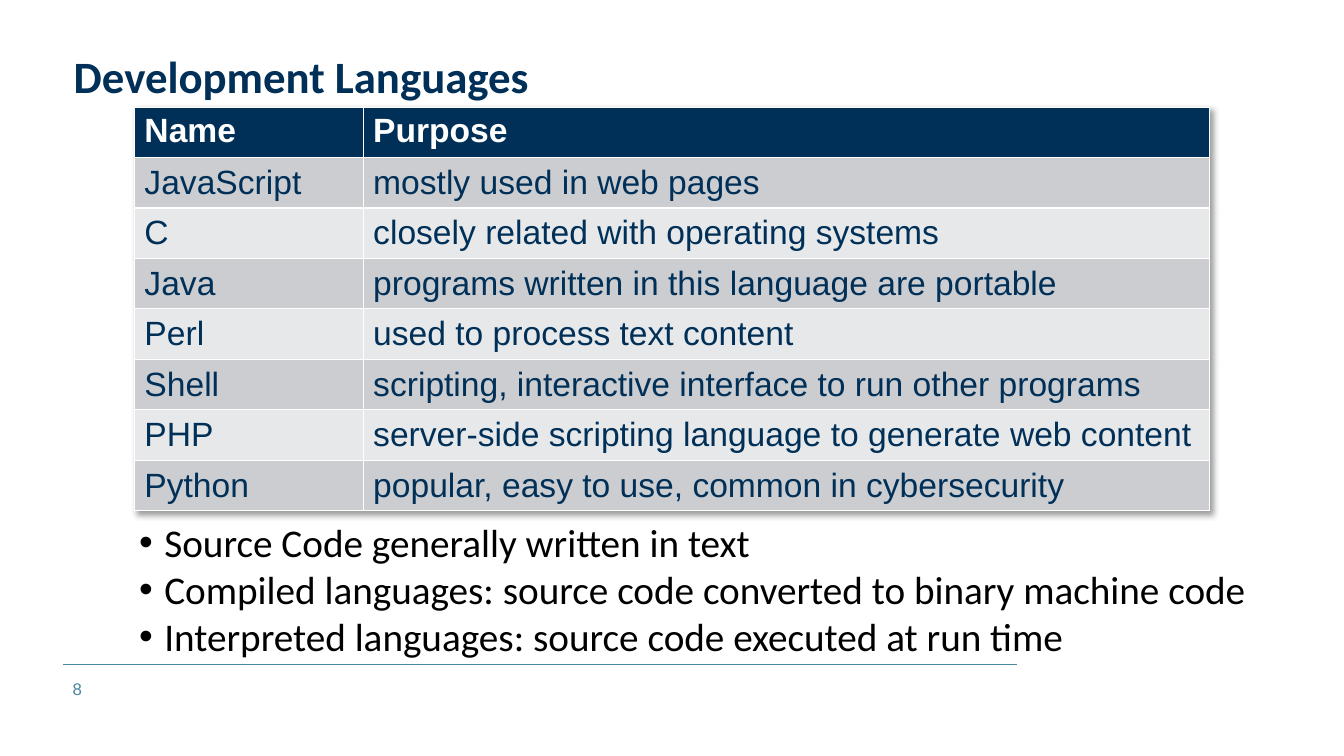
from lxml import etree
from pptx import Presentation
from pptx.dml.color import RGBColor
from pptx.enum.shapes import MSO_CONNECTOR
from pptx.enum.text import MSO_ANCHOR, MSO_AUTO_SIZE, PP_ALIGN
from pptx.oxml.ns import qn
from pptx.util import Pt

LINE = MSO_CONNECTOR.STRAIGHT
MID, LOW, TOP = MSO_ANCHOR.MIDDLE, MSO_ANCHOR.BOTTOM, MSO_ANCHOR.TOP
LEFT = PP_ALIGN.LEFT
FIXED = MSO_AUTO_SIZE.NONE

# Content
TITLE = "Development Languages"
ROWS = [
    ("Name", "Purpose"),
    ("JavaScript", "mostly used in web pages"),
    ("C", "closely related with operating systems"),
    ("Java", "programs written in this language are portable"),
    ("Perl", "used to process text content"),
    ("Shell", "scripting, interactive interface to run other programs"),
    ("PHP", "server-side scripting language to generate web content"),
    ("Python", "popular, easy to use, common in cybersecurity"),
]
POINTS = [
    "Source Code generally written in text",
    "Compiled languages: source code converted to binary machine code",
    "Interpreted languages: source code executed at run time",
]
PAGE = "8"

# Look, lengths in points
NAVY, TEAL, WHITE, BLACK = "003057", "4986A0", "FFFFFF", "000000"
BANDS = ("E7E8EA", "CCCDD1")
COLS = (163.4, 604.8)
ROW_H = 36


def color(code):
    return RGBColor.from_string(code)


def style(para, face, size, code, bold=False):
    for run in para.runs:
        font = run.font
        font.name, font.size, font.bold = face, Pt(size), bold
        font.color.rgb = color(code)


def place(shape, left, top, width, height):
    shape.left, shape.top = Pt(left), Pt(top)
    shape.width, shape.height = Pt(width), Pt(height)


def bullet(para):
    props = para._p.get_or_add_pPr()
    props.set("marL", str(Pt(18)))
    props.set("indent", str(-Pt(18)))
    etree.SubElement(props, qn("a:buFont")).set("typeface", "Arial")
    etree.SubElement(props, qn("a:buChar")).set("char", "•")


def shadow(table):
    effects = etree.Element(qn("a:effectLst"))
    outer = etree.SubElement(effects, qn("a:outerShdw"), blurRad=str(Pt(4)),
                             dist=str(Pt(3)), dir="2700000", algn="tl")
    shade = etree.SubElement(outer, qn("a:srgbClr"), val=BLACK)
    etree.SubElement(shade, qn("a:alpha"), val="40000")
    table._tbl.tblPr.insert(0, effects)


deck = Presentation()
deck.slide_width, deck.slide_height = Pt(960), Pt(540)
slide = deck.slides.add_slide(deck.slide_layouts[1])
shapes = slide.shapes

# Title
title = shapes.title
place(title, 45.4, 0, 614.9, 77.5)
frame = title.text_frame
frame.text = TITLE
frame.auto_size = FIXED
frame.vertical_anchor = LOW
para = frame.paragraphs[0]
para.alignment, para.line_spacing = LEFT, 0.9
style(para, "Calibri", 32, NAVY, True)

# Bullet list
body = slide.placeholders[1]
place(body, 92.2, 366.5, 838, 108.7)
frame = body.text_frame
frame.text = "\n".join(POINTS)
frame.auto_size = FIXED
frame.vertical_anchor = TOP
for para in frame.paragraphs:
    para.space_before = Pt(0)
    bullet(para)
    style(para, "Calibri", 28, BLACK)

# Footer rule and page number
rule = shapes.add_connector(LINE, Pt(44.9), Pt(474.5), Pt(726.5), Pt(474.5))
rule.line.color.rgb = color(TEAL)
rule.line.width = Pt(0.75)
etree.SubElement(rule._element.spPr, qn("a:effectLst"))

num = shapes.add_textbox(Pt(44.9), Pt(477.4), Pt(47.5), Pt(28.8))
frame = num.text_frame
frame.text = PAGE
frame.word_wrap = True
frame.vertical_anchor = MID
style(frame.paragraphs[0], "Arial", 12, TEAL)

# Language table
table = shapes.add_table(len(ROWS), len(COLS), Pt(96), Pt(76.5),
                         Pt(sum(COLS)), Pt(ROW_H * len(ROWS))).table
shadow(table)
for col, width in zip(table.columns, COLS):
    col.width = Pt(width)
for r, texts in enumerate(ROWS):
    head = r == 0
    table.rows[r].height = Pt(ROW_H)
    for c, text in enumerate(texts):
        cell = table.cell(r, c)
        cell.text = text
        cell.vertical_anchor = TOP if head else MID
        cell.fill.solid()
        cell.fill.fore_color.rgb = color(NAVY if head else BANDS[r % 2])
        style(cell.text_frame.paragraphs[0], "Arial", 24,
              WHITE if head else NAVY, head)

deck.save("out.pptx")
